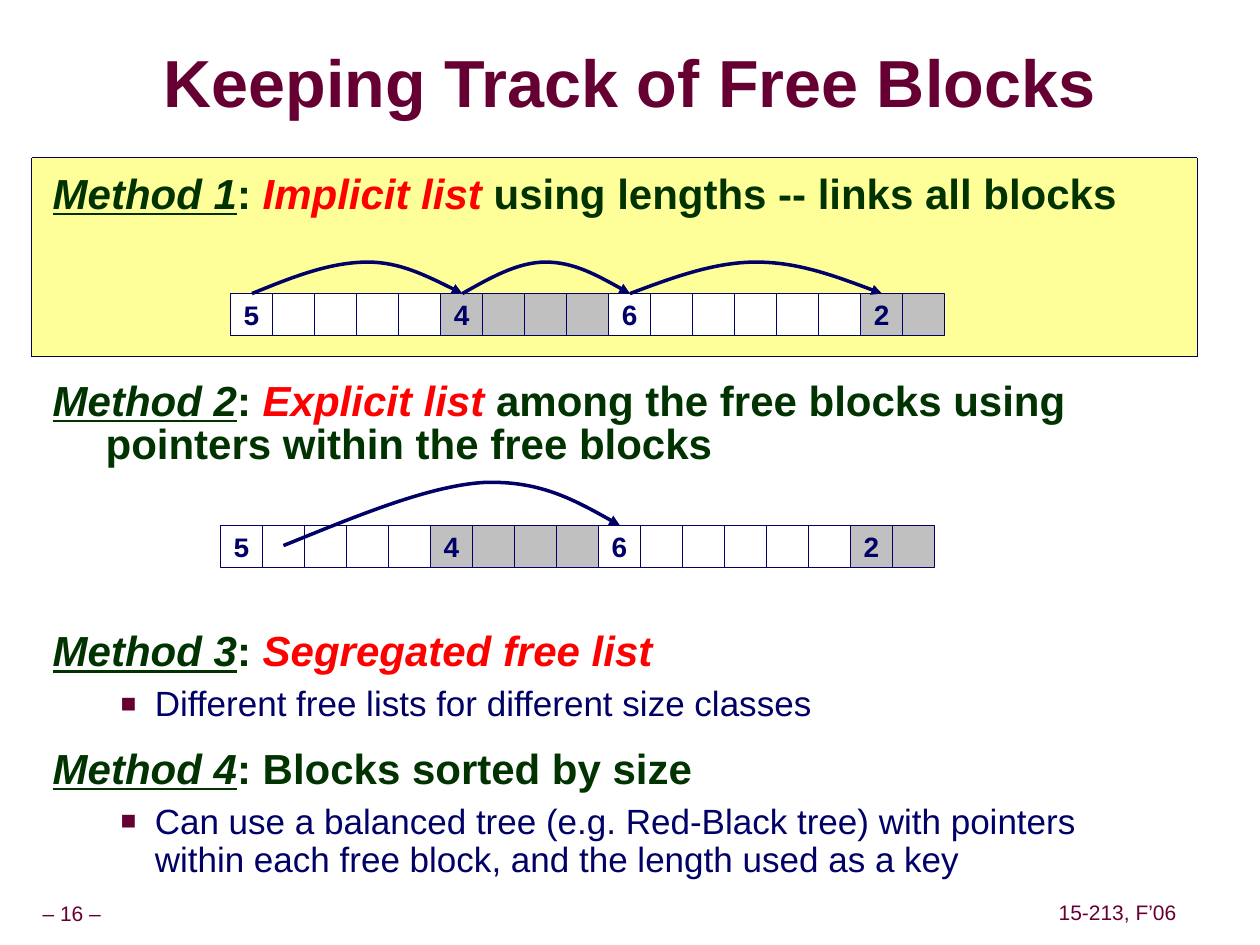
import pptx
import pptx.dml.color
import pptx.enum.dml
import pptx.enum.shapes
import pptx.enum.text
import pptx.oxml
import pptx.oxml.ns
import pptx.util

Inches = pptx.util.Inches
Pt = pptx.util.Pt
qn = pptx.oxml.ns.qn
ALIGN = pptx.enum.text.PP_ALIGN
ANCHOR = pptx.enum.text.MSO_ANCHOR
NAMESPACE = pptx.oxml.ns.nsdecls("a")

MAROON, NAVY, GREEN, RED = "660033", "000066", "003300", "FF0000"
WHITE, GRAY, YELLOW = "FFFFFF", "C0C0C0", "FFFF99"

CELL = 1 / 3
BLOCKS = [(5, WHITE), (4, GRAY), (6, WHITE), (2, GRAY)]

HEADING = dict(size=Pt(24), bold=True, color=GREEN)
LABEL = dict(HEADING, italic=True, underline=True)
KEY_TERM = dict(HEADING, italic=True, color=RED)
DETAIL = dict(size=Pt(20), color=NAVY)

HEADING_SPACE = 15
DIAGRAM_SPACE = 94


def rgb(value):
    return pptx.dml.color.RGBColor.from_string(value)


def set_values(target, values):
    for name, value in values.items():
        setattr(target, name, value)


class SlideBuilder:
    def __init__(self, slide, font="Arial"):
        self.slide = slide
        self.font = font

    def frame(self, shape, inset_x=0.1, inset_y=0.05, wrap=True, anchor=ANCHOR.MIDDLE):
        text_frame = shape.text_frame
        set_values(text_frame, dict(
            margin_left=Inches(inset_x), margin_right=Inches(inset_x),
            margin_top=Inches(inset_y), margin_bottom=Inches(inset_y),
            auto_size=pptx.enum.text.MSO_AUTO_SIZE.NONE,
            word_wrap=wrap, vertical_anchor=anchor))
        return text_frame

    def run(self, paragraph, text, color, name=None, **font_values):
        run = paragraph.add_run()
        run.text = text
        set_values(run.font, dict(font_values, name=name or self.font))
        run.font.color.rgb = rgb(color)
        return run

    def title(self, text, left, top, width, height):
        shape = self.slide.shapes.title
        set_values(shape, dict(left=Inches(left), top=Inches(top),
                               width=Inches(width), height=Inches(height)))
        paragraph = self.frame(shape, 0, 0).paragraphs[0]
        set_values(paragraph, dict(alignment=ALIGN.CENTER, line_spacing=0.87))
        run = self.run(paragraph, text, MAROON, size=Pt(38), bold=True)
        fill = run.font._element.find(qn("a:solidFill"))
        fill.addnext(pptx.oxml.parse_xml(
            f'<a:effectLst {NAMESPACE}><a:outerShdw dist="38100" dir="2700000">'
            f'<a:srgbClr val="{GRAY}"/></a:outerShdw></a:effectLst>'))

    def text_box(self, left, top, width, height, **frame_values):
        shape = self.slide.shapes.add_textbox(
            Inches(left), Inches(top), Inches(width), Inches(height))
        return self.frame(shape, **frame_values)

    def footer(self, text, left, top, width):
        text_frame = self.text_box(left, top, width, 0.28, inset_x=0.05, wrap=False)
        paragraph = text_frame.paragraphs[0]
        set_values(paragraph, dict(alignment=ALIGN.CENTER, line_spacing=0.9))
        self.run(paragraph, text, MAROON, size=Pt(12))

    def heading(self, paragraph, parts, space):
        """Add a heading with a hanging indent from (text, format) parts."""
        set_values(paragraph, dict(line_spacing=0.85, space_before=Pt(space)))
        self.indent(paragraph, 0.42, -0.42)
        for text, style in parts:
            self.run(paragraph, text, **style)

    def bullet(self, paragraph, text):
        set_values(paragraph, dict(level=1, line_spacing=0.9, space_before=Pt(6.2)))
        properties = self.indent(paragraph, 0.81, -0.27)
        for xml in (f'<a:buClr {NAMESPACE}><a:srgbClr val="{MAROON}"/></a:buClr>',
                    f'<a:buSzPct {NAMESPACE} val="75000"/>',
                    f'<a:buFont {NAMESPACE} typeface="{self.font}"/>',
                    f'<a:buChar {NAMESPACE} char="■"/>'):
            properties.append(pptx.oxml.parse_xml(xml))
        self.run(paragraph, text, **DETAIL)

    def indent(self, paragraph, margin, first_line):
        properties = paragraph._p.get_or_add_pPr()
        properties.set("marL", str(Inches(margin)))
        properties.set("indent", str(Inches(first_line)))
        return properties

    def rectangle(self, left, top, width, height, fill):
        shape = self.slide.shapes.add_shape(
            pptx.enum.shapes.MSO_SHAPE.RECTANGLE,
            Inches(left), Inches(top), Inches(width), Inches(height))
        shape.shadow.inherit = False
        shape.fill.solid()
        shape.fill.fore_color.rgb = rgb(fill)
        shape.line.color.rgb = rgb(NAVY)
        shape.line.width = Pt(0.25)
        return shape

    def heap(self, left, top):
        """Draw the blocks as a row of cells, with each length in its first cell."""
        for length, fill in BLOCKS:
            for index in range(length):
                shape = self.rectangle(left, top, CELL, CELL, fill)
                if index == 0:
                    paragraph = self.frame(shape, wrap=False).paragraphs[0]
                    paragraph.alignment = ALIGN.CENTER
                    self.run(paragraph, str(length), NAVY, size=Pt(16), bold=True,
                             name="Courier New" if length == 5 else None)
                left += CELL

    def curved_arrow(self, points):
        """Draw Bezier segments: a start, then two controls and an end for each."""
        start, *others = [(Inches(x), Inches(y)) for x, y in points]
        builder = self.slide.shapes.build_freeform(*start)
        builder.add_line_segments(others, close=False)
        shape = builder.convert_to_shape()
        outline = next(shape._element.iter(qn("a:path")))
        lines = outline.findall(qn("a:lnTo"))
        for index in range(0, len(lines), 3):
            curve = pptx.oxml.parse_xml(f"<a:cubicBezTo {NAMESPACE}/>")
            outline.append(curve)
            for line in lines[index:index + 3]:
                curve.append(line[0])
                outline.remove(line)
        shape.shadow.inherit = False
        shape.fill.background()
        shape.line.color.rgb = rgb(NAVY)
        shape.line.width = Pt(2)
        shape.line._get_or_add_ln().append(
            pptx.oxml.parse_xml(f'<a:tailEnd {NAMESPACE} type="triangle"/>'))

    def link(self, start, peak, end, base, height):
        """Draw an arched arrow between two points at the same level."""
        rise, fall = (peak - start) / 3, (end - peak) / 3
        top, middle = base - height, base - height / 2
        self.curved_arrow([
            (start, base), (start + rise, middle), (peak - rise, top), (peak, top),
            (peak + fall, top), (end - fall, middle), (end, base)])


def main():
    presentation = pptx.Presentation()
    presentation.slide_width = Inches(10)
    presentation.slide_height = Inches(7.5)
    slide = presentation.slides.add_slide(presentation.slide_layouts[5])
    builder = SlideBuilder(slide)

    builder.footer("– 16 –", 0, 7.12, 1.14)
    builder.footer("15-213, F’06", 8.35, 7.11, 1.04)
    highlight = builder.rectangle(0.25, 1.25, 9.25, 1.58, YELLOW)
    highlight.line.dash_style = pptx.enum.dml.MSO_LINE.ROUND_DOT
    builder.title("Keeping Track of Free Blocks", 1, 0.37, 8, 0.63)

    methods = [
        (0, "Implicit list", " using lengths -- links all blocks", None),
        (DIAGRAM_SPACE, "Explicit list",
         " among the free blocks using pointers within the free blocks", None),
        (DIAGRAM_SPACE, "Segregated free list", "",
         "Different free lists for different size classes"),
        (HEADING_SPACE, "", "Blocks sorted by size",
         "Can use a balanced tree (e.g. Red-Black tree) with pointers within "
         "each free block, and the length used as a key"),
    ]
    body = builder.text_box(0.32, 1.34, 9.09, 5.71, anchor=ANCHOR.TOP)
    for number, (space, term, rest, detail) in enumerate(methods, 1):
        paragraph = body.paragraphs[0] if number == 1 else body.add_paragraph()
        parts = [(f"Method {number}", LABEL), (": ", HEADING),
                 (term, KEY_TERM), (rest, HEADING)]
        builder.heading(paragraph, [part for part in parts if part[0]], space)
        if detail:
            builder.bullet(body.add_paragraph(), detail)

    builder.heap(1.83, 2.33)
    builder.heap(1.75, 4.17)
    builder.curved_arrow([(2.25, 4.33), (2.82, 4.1), (3.39, 3.86), (3.83, 3.83),
                          (4.28, 3.81), (4.6, 3.99), (4.92, 4.17)])
    for start, peak, end in [(2, 2.92, 3.67), (3.67, 4.33, 5), (5, 6, 7)]:
        builder.link(start, peak, end, base=2.33, height=0.25)

    presentation.save("out.pptx")


if __name__ == "__main__":
    main()
